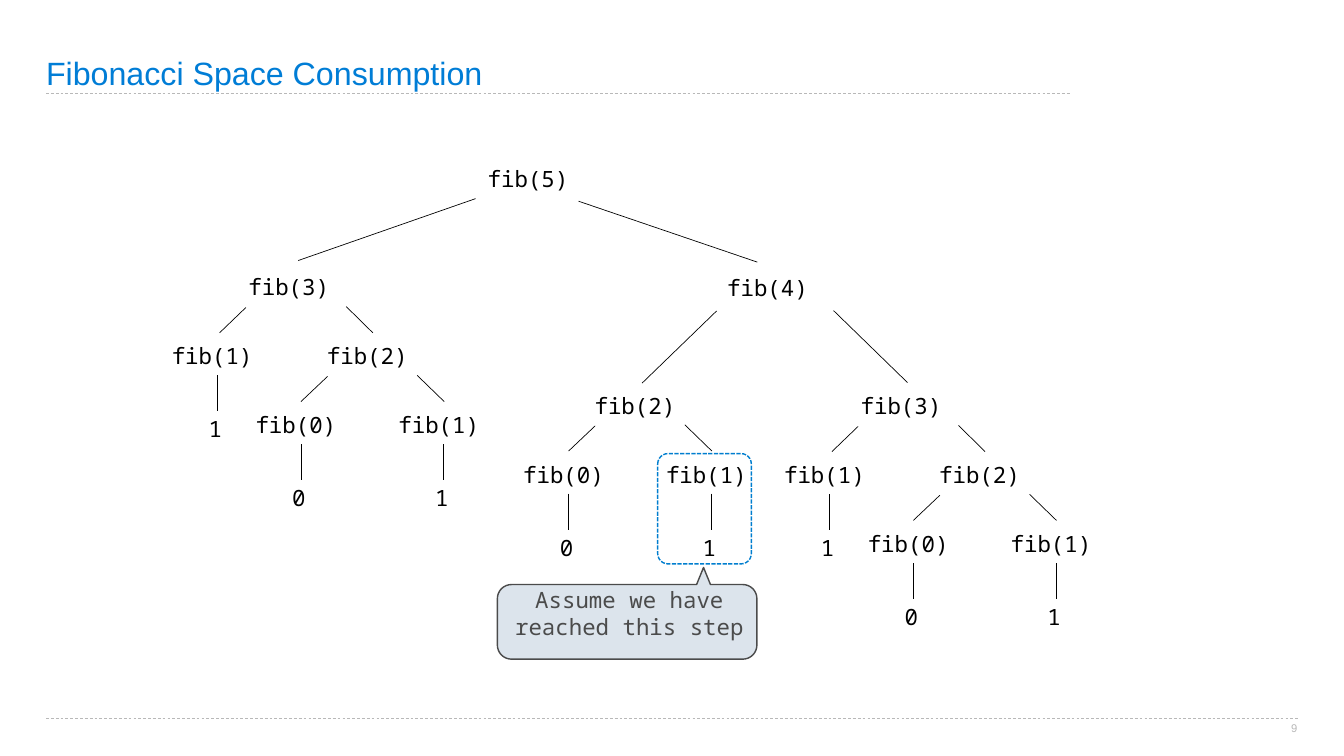
from math import cos, pi, sin

from lxml.etree import SubElement
from pptx import Presentation
from pptx.dml.color import RGBColor
from pptx.enum.dml import MSO_LINE
from pptx.enum.shapes import MSO_CONNECTOR, MSO_SHAPE
from pptx.enum.text import MSO_ANCHOR, PP_ALIGN
from pptx.oxml.ns import qn
from pptx.util import Cm, Pt

BLACK = RGBColor(0x00, 0x00, 0x00)
TITLE_BLUE = RGBColor(0x00, 0x7D, 0xD6)
HIGHLIGHT_BLUE = RGBColor(0x00, 0x7E, 0xCF)
RULE_GREY = RGBColor(0xB8, 0xB8, 0xB8)
DARK_GREY = RGBColor(0x4B, 0x4B, 0x4B)
PALE_BLUE = RGBColor(0xDC, 0xE4, 0xEC)

SANS, MONO = "Arial", "Noto Sans Mono"
LABEL_WIDTH, LABEL_HEIGHT, VALUE_WIDTH = 5.16, 1.8, 1.45
INSET = 0.15
INDENT = 0.23

# Each branch: called argument, label offset, line start, line end
BRANCHES = {
    5: [(3, (-10.92, 5.46), (0.91, 1.93), (-8.03, 5.05)),
        (4, (13.21, 5.51), (6.1, 2.06), (15.11, 5.13))],
    4: [(2, (-6.68, 5.94), (-0.15, 2.08), (-3.91, 5.72)),
        (3, (6.73, 5.94), (5.74, 2.06), (9.47, 5.69))],
    3: [(1, (-3.86, 3.5), (0.25, 1.96), (-1.07, 3.23)),
        (2, (3.96, 3.5), (5.31, 1.91), (6.65, 3.23))],
    2: [(0, (-3.6, 3.48), (0.41, 1.93), (-0.93, 3.2)),
        (1, (3.6, 3.48), (4.93, 1.88), (6.29, 3.2))],
}


def write(shape, text, font, size, color, align=PP_ALIGN.LEFT,
          anchor=MSO_ANCHOR.MIDDLE, inset=0.0, indent=0.0, wrap=True):
    frame = shape.text_frame
    frame.word_wrap = wrap
    frame.vertical_anchor = anchor
    frame.margin_left = frame.margin_right = Cm(inset)
    frame.margin_top = frame.margin_bottom = Cm(inset)
    paragraph = frame.paragraphs[0]
    paragraph.alignment = align
    if indent:
        properties = paragraph._p.get_or_add_pPr()
        properties.set("marL", str(Cm(indent)))
        properties.set("indent", "0")
    run = paragraph.add_run()
    run.text = text
    run.font.name = font
    run.font.size = Pt(size)
    run.font.color.rgb = color
    return paragraph


def add_line(slide, start, end, color=BLACK, dash=None):
    line = slide.shapes.add_connector(
        MSO_CONNECTOR.STRAIGHT, *map(Cm, (*start, *end)))
    line.line.color.rgb = color
    line.line.width = Pt(1)
    if dash:
        line.line.dash_style = dash
    SubElement(line._element.spPr, qn("a:effectLst"))


def add_label(slide, text, left, top, width, align=PP_ALIGN.LEFT):
    label = slide.shapes.add_textbox(
        Cm(left), Cm(top), Cm(width), Cm(LABEL_HEIGHT))
    write(label, text, MONO, 32, BLACK, align, inset=INSET, indent=INDENT)


def add_header(slide, left, top, width, height):
    add_line(slide, (left, top + height + 0.07),
             (left + 51.65, top + height + 0.07), RULE_GREY, MSO_LINE.DASH)
    title = slide.shapes.add_textbox(Cm(left), Cm(top), Cm(width), Cm(height))
    paragraph = write(title, "Fibonacci Space Consumption", SANS, 46,
                      TITLE_BLUE, anchor=MSO_ANCHOR.BOTTOM)
    paragraph.line_spacing = 0.9


def add_footer(slide, left, top, width):
    add_line(slide, (left, top), (left + width, top), RULE_GREY, MSO_LINE.DASH)
    number = slide.shapes.add_textbox(
        Cm(left + width - 0.58), Cm(top + 0.15), Cm(0.66), Cm(0.61))
    write(number, "9", SANS, 16, RULE_GREY, PP_ALIGN.CENTER,
          MSO_ANCHOR.TOP, wrap=False)


def add_highlight(slide, left, top, width, height):
    highlight = slide.shapes.add_shape(
        MSO_SHAPE.ROUNDED_RECTANGLE, Cm(left), Cm(top), Cm(width), Cm(height))
    highlight.adjustments[0] = 0.11
    highlight.shadow.inherit = False
    highlight.fill.background()
    highlight.line.color.rgb = HIGHLIGHT_BLUE
    highlight.line.width = Pt(2)
    highlight.line.dash_style = MSO_LINE.SQUARE_DOT


def add_callout(slide, left, top, width, height):
    radius, pointer, half_base, steps = 0.71, 0.86, 0.35, 8
    tip = left + 10.39
    right, bottom, body_top = left + width, top + height, top + pointer
    corners = [
        (right - radius, body_top + radius, -pi / 2),
        (right - radius, bottom - radius, 0),
        (left + radius, bottom - radius, pi / 2),
        (left + radius, body_top + radius, pi),
    ]
    outline = [(tip + half_base, body_top)]
    for x, y, start in corners:
        for step in range(steps + 1):
            angle = start + step * pi / 2 / steps
            outline.append((x + radius * cos(angle), y + radius * sin(angle)))
    outline.append((tip - half_base, body_top))

    builder = slide.shapes.build_freeform(Cm(tip), Cm(top))
    builder.add_line_segments([(Cm(x), Cm(y)) for x, y in outline], close=True)
    callout = builder.convert_to_shape()
    callout.shadow.inherit = False
    callout.fill.solid()
    callout.fill.fore_color.rgb = PALE_BLUE
    callout.line.color.rgb = DARK_GREY
    callout.line.width = Pt(2)
    write(callout, "Assume we have reached this step", MONO, 32, DARK_GREY,
          PP_ALIGN.CENTER, inset=INSET, indent=INDENT)


def add_call_tree(slide, n, left, top, width=LABEL_WIDTH, align=PP_ALIGN.LEFT):
    add_label(slide, f"fib({n})", left, top, width, align)
    if n < 2:
        add_label(slide, str(n), left + 1.85, top + 3.66, VALUE_WIDTH)
        add_line(slide, (left + 2.67, top + 1.87), (left + 2.67, top + 3.68))
        return
    for argument, (dx, dy), (x1, y1), (x2, y2) in BRANCHES[n]:
        add_line(slide, (left + x1, top + y1), (left + x2, top + y2))
        add_call_tree(slide, argument, left + dx, top + dy)


def main():
    presentation = Presentation()
    presentation.slide_width = Cm(67.74)
    presentation.slide_height = Cm(38.1)
    slide = presentation.slides.add_slide(presentation.slide_layouts[6])
    add_header(slide, 2.32, 0, 51.59, 4.65)
    add_footer(slide, 2.32, 36.22, 63.16)
    add_highlight(slide, 33.15, 22.86, 4.72, 5.56)
    add_callout(slide, 25.07, 28.6, 13.08, 4.62)
    add_call_tree(slide, 5, 23.06, 8.08, 6.88, PP_ALIGN.CENTER)
    presentation.save("out.pptx")


if __name__ == "__main__":
    main()
